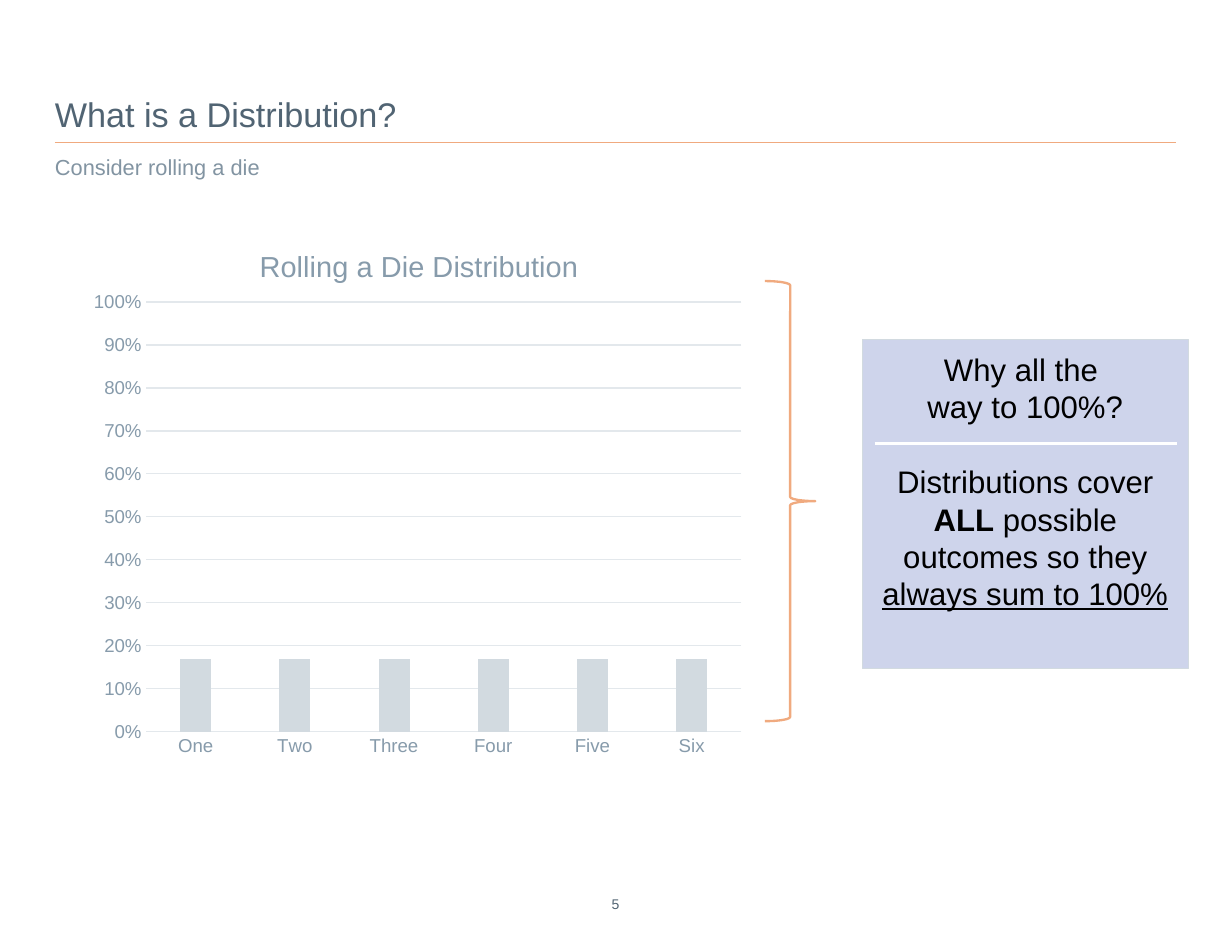
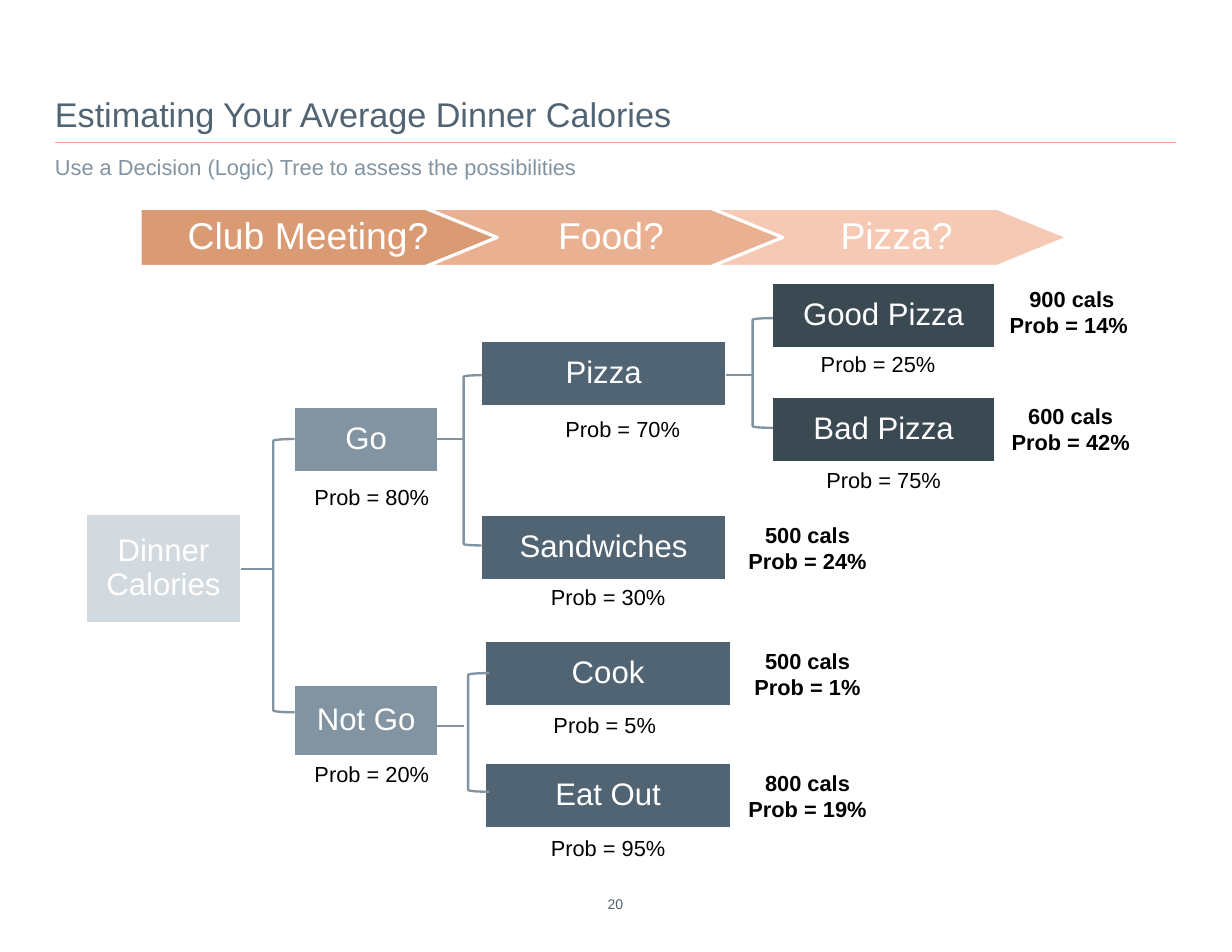
import dataclasses

import pptx
import pptx.chart.data
import pptx.dml.color
import pptx.enum.chart
import pptx.enum.shapes
import pptx.enum.text
import pptx.oxml
import pptx.oxml.ns
import pptx.util

Inches = pptx.util.Inches
Pt = pptx.util.Pt
Shape = pptx.enum.shapes.MSO_SHAPE
Align = pptx.enum.text.PP_ALIGN
Anchor = pptx.enum.text.MSO_ANCHOR


@dataclasses.dataclass(frozen=True)
class Theme:
    font: str = "Arial"
    heading: str = "516473"
    muted: str = "8294A2"
    accent: str = "F0AA7F"
    axis_text: str = "879BAB"
    grid: str = "E3E8EC"
    pale: str = "D2DAE0"
    callout: str = "CED4EB"
    black: str = "000000"
    white: str = "FFFFFF"
    levels: tuple = ("D2DAE0", "8294A2", "516473", "3B4953")
    stages: tuple = ("DA9A73", "E9B191", "F5C9B4")
    title_size: float = 22
    stage_size: float = 24
    box_size: float = 20
    chart_title_size: float = 18.6
    label_size: float = 14
    axis_size: float = 12
    footer_size: float = 9


THEME = Theme()


@dataclasses.dataclass(frozen=True)
class Box:
    """A rectangle in inches."""
    left: float
    top: float
    width: float
    height: float

    def inner(self, left, top, width, height):
        """Return a box whose corner is given relative to this one."""
        return Box(self.left + left, self.top + top, width, height)

    def lengths(self):
        return [Inches(value) for value in dataclasses.astuple(self)]


def rgb(color):
    return pptx.dml.color.RGBColor.from_string(color)


def style_font(font, size, color, bold=None):
    font.name = THEME.font
    font.size = Pt(size)
    font.color.rgb = rgb(color)
    font.bold = bold


def style_line(line, color, width):
    line.color.rgb = rgb(color)
    line.width = Pt(width)


def style_shape(shape, fill, line, width):
    shape.shadow.inherit = False
    if fill:
        shape.fill.solid()
        shape.fill.fore_color.rgb = rgb(fill)
    else:
        shape.fill.background()
    style_line(shape.line, line, width)


def set_frame(frame, insets, anchor=Anchor.TOP):
    """Set wrapping, anchor and the left, top, right and bottom insets."""
    frame.word_wrap = True
    frame.vertical_anchor = anchor
    (frame.margin_left, frame.margin_top,
     frame.margin_right, frame.margin_bottom) = [Inches(inset) for inset in insets]


def add_span(para, text, size, color, bold=None):
    span = para.add_run()
    span.text = text
    style_font(span.font, size, color, bold)
    return span


def write_lines(frame, lines, size, color, align=Align.CENTER, bold=None, spacing=None):
    for index, line in enumerate(lines):
        para = frame.add_paragraph() if index else frame.paragraphs[0]
        para.alignment = align
        if spacing:
            para.line_spacing = spacing
        add_span(para, line, size, color, bold)


def add_text(page, box, lines, size, color, align=Align.CENTER, bold=None,
             insets=(0, 0, 0, 0), anchor=Anchor.TOP):
    frame = page.shapes.add_textbox(*box.lengths()).text_frame
    set_frame(frame, insets, anchor)
    write_lines(frame, lines, size, color, align, bold)


def add_line(page, start, end, color, width):
    ends = [Inches(value) for value in (*start, *end)]
    line = page.shapes.add_connector(pptx.enum.shapes.MSO_CONNECTOR.STRAIGHT, *ends)
    style_line(line.line, color, width)
    properties = line._element.spPr
    properties.append(pptx.oxml.parse_xml(
        '<a:effectLst %s/>' % pptx.oxml.ns.nsdecls("a")))


def add_page(deck, title, subtitle, number):
    page = deck.slides.add_slide(deck.slide_layouts[6])
    add_text(page, Box(5.27, 8, 0.45, 0.15), [str(number)],
             THEME.footer_size, THEME.heading)
    add_line(page, (0.49, 1.27), (10.5, 1.27), THEME.accent, 0.75)
    add_text(page, Box(0.49, 1.37, 8.78, 0.24), [subtitle],
             THEME.label_size, THEME.muted, Align.LEFT)
    add_text(page, Box(0.49, 0.83, 8.78, 0.37), [title],
             THEME.title_size, THEME.heading, Align.LEFT, anchor=Anchor.BOTTOM)
    return page


def set_layout(parent, position, **fractions):
    """Fix a chart element at fractions of the chart area."""
    for old in parent.xpath("c:layout"):
        parent.remove(old)
    modes = '<c:xMode val="edge"/><c:yMode val="edge"/>'
    values = "".join(f'<c:{name} val="{value}"/>' for name, value in fractions.items())
    target = '<c:layoutTarget val="inner"/>' if "w" in fractions else ""
    parent.insert(position, pptx.oxml.parse_xml(
        f'<c:layout {pptx.oxml.ns.nsdecls("c")}><c:manualLayout>'
        f'{target}{modes}{values}</c:manualLayout></c:layout>'))


def add_die_chart(page, box):
    data = pptx.chart.data.CategoryChartData(number_format="0%")
    data.categories = ["One", "Two", "Three", "Four", "Five", "Six"]
    data.add_series("Series 1", [0.17] * 6)
    chart = page.shapes.add_chart(
        pptx.enum.chart.XL_CHART_TYPE.COLUMN_CLUSTERED, *box.lengths(), data).chart
    style_font(chart.font, THEME.axis_size, THEME.axis_text)
    chart.has_legend = False
    chart.has_title = True
    add_span(chart.chart_title.text_frame.paragraphs[0], "Rolling a Die Distribution",
             THEME.chart_title_size, THEME.axis_text, False)

    for axis in (chart.category_axis, chart.value_axis):
        axis.major_tick_mark = pptx.enum.chart.XL_TICK_MARK.NONE
        axis.minor_tick_mark = pptx.enum.chart.XL_TICK_MARK.NONE
        style_font(axis.tick_labels.font, THEME.axis_size, THEME.axis_text)
    style_line(chart.category_axis.format.line, THEME.grid, 0.75)
    values = chart.value_axis
    values.minimum_scale, values.maximum_scale, values.major_unit = 0, 1, 0.1
    values.format.line.fill.background()
    values.has_major_gridlines = True
    style_line(values.major_gridlines.format.line, THEME.grid, 0.75)
    values.tick_labels.number_format = "0%"
    values.tick_labels.number_format_is_linked = False

    plot = chart.plots[0]
    plot.gap_width, plot.overlap = 219, -27
    plot.vary_by_categories = False
    fill = plot.series[0].format.fill
    fill.solid()
    fill.fore_color.rgb = rgb(THEME.pale)
    root = chart._chartSpace
    set_layout(root.xpath("c:chart/c:title")[0], 1, x=0.26, y=0.05)
    set_layout(root.xpath("c:chart/c:plotArea")[0], 0, x=0.1, y=0.16, w=0.88, h=0.78)


def add_callout(page, box):
    panel = page.shapes.add_shape(Shape.RECTANGLE, *box.lengths())
    style_shape(panel, THEME.callout, THEME.pale, 0.75)
    frame = panel.text_frame
    set_frame(frame, [0.1] * 4)
    write_lines(frame, ["Why all the ", "way to 100%?"], THEME.box_size, THEME.black)
    answer = frame.add_paragraph()
    answer.alignment = Align.CENTER
    answer.space_before = Pt(24)
    for text, bold, underline in (
            ("Distributions cover ", False, False), ("ALL", True, False),
            (" possible outcomes so they ", False, False),
            ("always sum to 100%", False, True)):
        span = add_span(answer, text, THEME.box_size, THEME.black, bold)
        span.font.underline = underline
    rule = box.top + 0.93
    add_line(page, (box.left + 0.11, rule), (box.left + box.width - 0.1, rule),
             THEME.white, 2.25)


def add_stages(page, box, names):
    """Draw a row of interlocking arrows, the first with a flat tail."""
    step, tip = 2.55, 0.64
    for index, (name, color) in enumerate(zip(names, THEME.stages)):
        left, middle = box.left + index * step, box.top + box.height / 2
        right, bottom = left + step, box.top + box.height
        points = [(left, box.top), (right, box.top), (right + tip, middle),
                  (right, bottom), (left, bottom)]
        if index:
            points.append((left + tip, middle))
        points = [(Inches(x), Inches(y)) for x, y in points]
        builder = page.shapes.build_freeform(*points[0])
        builder.add_line_segments(points[1:], close=True)
        arrow = builder.convert_to_shape()
        style_shape(arrow, color, THEME.white, 2)
        insets = (0.92, 0.12, 0.8, 0.12) if index else (0.24, 0.12, 0.43, 0.12)
        set_frame(arrow.text_frame, insets, Anchor.MIDDLE)
        write_lines(arrow.text_frame, [name], THEME.stage_size, THEME.white, spacing=0.9)


def add_node(page, box, name, level, chance=None, outcome=None):
    """Draw one tree box; chance and outcome are (text lines, left, top) beside it."""
    node = page.shapes.add_shape(Shape.RECTANGLE, *box.lengths())
    style_shape(node, THEME.levels[level], THEME.white, 2)
    set_frame(node.text_frame, [0.02] * 4, Anchor.MIDDLE)
    write_lines(node.text_frame, [name], THEME.box_size, THEME.white, spacing=0.9)
    for label, height, bold in ((chance, 0.34, False), (outcome, 0.57, True)):
        if label:
            lines, left, top = label
            add_text(page, box.inner(left, top, 1.68, height), lines, THEME.label_size,
                     THEME.black, bold=bold, insets=(0.1, 0.05, 0.1, 0.05))


def add_branch(page, box, stem_start, stem_end, stem_top, bracket):
    """Join a parent to its children with a stem and a bracket."""
    shape = page.shapes.add_shape(Shape.LEFT_BRACKET, *box.inner(*bracket).lengths())
    style_shape(shape, None, THEME.muted, 1.5)
    height = box.top + stem_top
    add_line(page, (box.left + stem_start, height), (box.left + stem_end, height),
             THEME.muted, 1.5)


def add_tree(page, box):
    widths = (1.4, 1.3, 2.2, 2)
    nodes = [  # name, level, left, top, height, chance, outcome
        ("Dinner Calories", 0, 0, 2.08, 0.99, None, None),
        ("Go", 1, 1.86, 1.13, 0.59, (["Prob = 80%"], -0.14, 0.64), None),
        ("Not Go", 1, 1.86, 3.61, 0.65, (["Prob = 20%"], -0.14, 0.63), None),
        ("Pizza", 2, 3.53, 0.54, 0.59, (["Prob = 70%"], 0.43, 0.62), None),
        ("Sandwiches", 2, 3.53, 2.09, 0.59, (["Prob = 30%"], 0.3, 0.57),
         (["500 cals", "Prob = 24%"], 2.08, 0.02)),
        ("Cook", 2, 3.57, 3.22, 0.59, (["Prob = 5%"], 0.23, 0.59),
         (["500 cals", "Prob = 1%"], 2.04, 0.01)),
        ("Eat Out", 2, 3.57, 4.31, 0.59, (["Prob = 95%"], 0.26, 0.59),
         (["800 cals", "Prob = 19%"], 2.04, 0.01)),
        ("Good Pizza", 3, 6.13, 0.02, 0.59, (["Prob = 25%"], 0.11, 0.56),
         (["900 cals", "Prob = 14% "], 1.84, -0.02)),
        ("Bad Pizza", 3, 6.13, 1.04, 0.59, (["Prob = 75%"], 0.16, 0.58),
         (["600 cals", "Prob = 42%"], 1.83, 0.01)),
    ]
    for name, level, left, top, height, chance, outcome in nodes:
        add_node(page, box.inner(left, top, widths[level], height),
                 name, level, chance, outcome)
    for branch in (
            (1.39, 1.68, 2.58, (1.68, 1.42, 0.19, 2.44)),
            (3.14, 3.38, 1.42, (3.38, 0.85, 0.16, 1.52)),
            (3.14, 3.38, 3.98, (3.42, 3.51, 0.19, 1.06)),
            (5.72, 5.96, 0.85, (5.96, 0.34, 0.18, 0.98))):
        add_branch(page, box, *branch)


def add_distribution_page(deck):
    page = add_page(deck, "What is a Distribution?", "Consider rolling a die", 5)
    add_die_chart(page, Box(0.7, 1.91, 6.04, 4.92))
    brace = page.shapes.add_shape(Shape.RIGHT_BRACE, *Box(6.83, 2.51, 0.45, 3.93).lengths())
    style_shape(brace, None, THEME.accent, 1.5)
    add_callout(page, Box(7.7, 3.03, 2.91, 2.94))


def add_decision_page(deck):
    page = add_page(deck, "Estimating Your Average Dinner Calories",
                    "Use a Decision (Logic) Tree to assess the possibilities", 20)
    add_tree(page, Box(0.76, 2.5, 9.65, 5.24))
    add_stages(page, Box(1.25, 1.86, 8.29, 0.52), ["Club Meeting?", "Food?", "Pizza?"])


def main():
    deck = pptx.Presentation()
    deck.slide_width, deck.slide_height = Inches(11), Inches(8.5)
    add_distribution_page(deck)
    add_decision_page(deck)
    deck.save("out.pptx")


if __name__ == "__main__":
    main()
